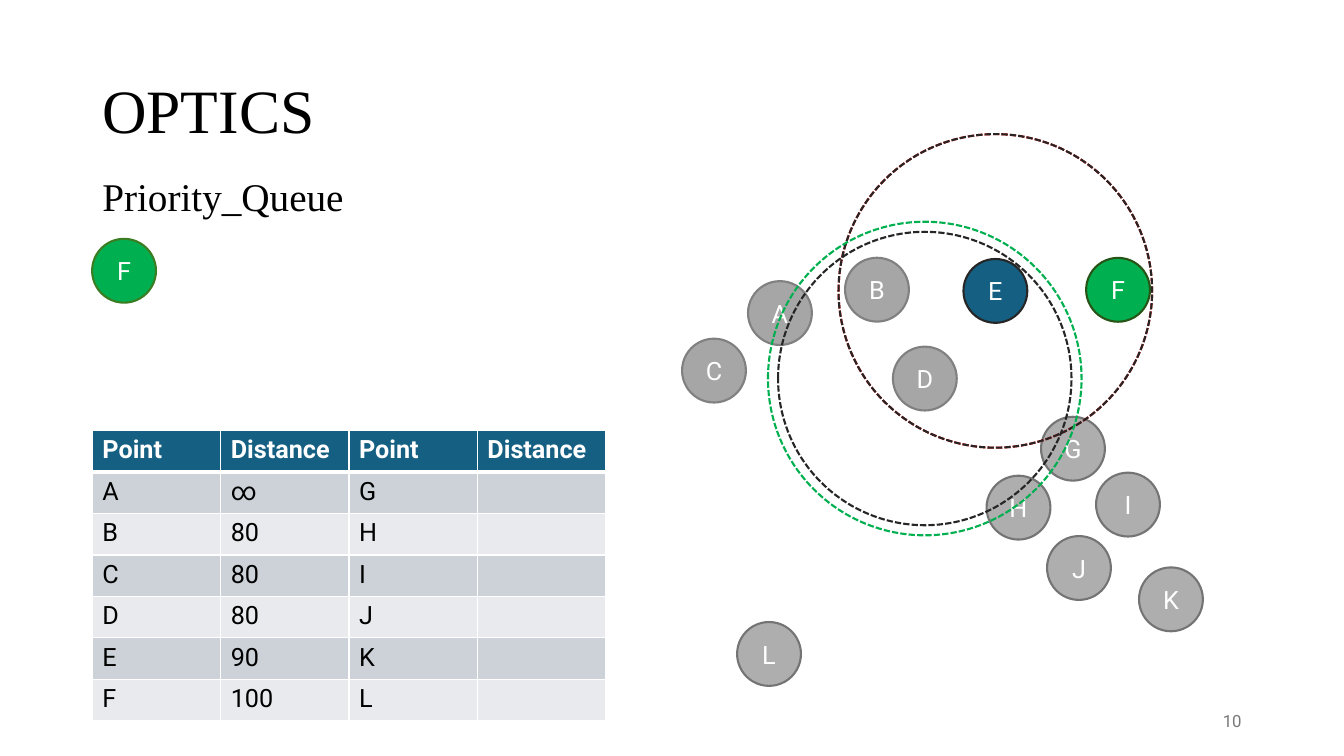
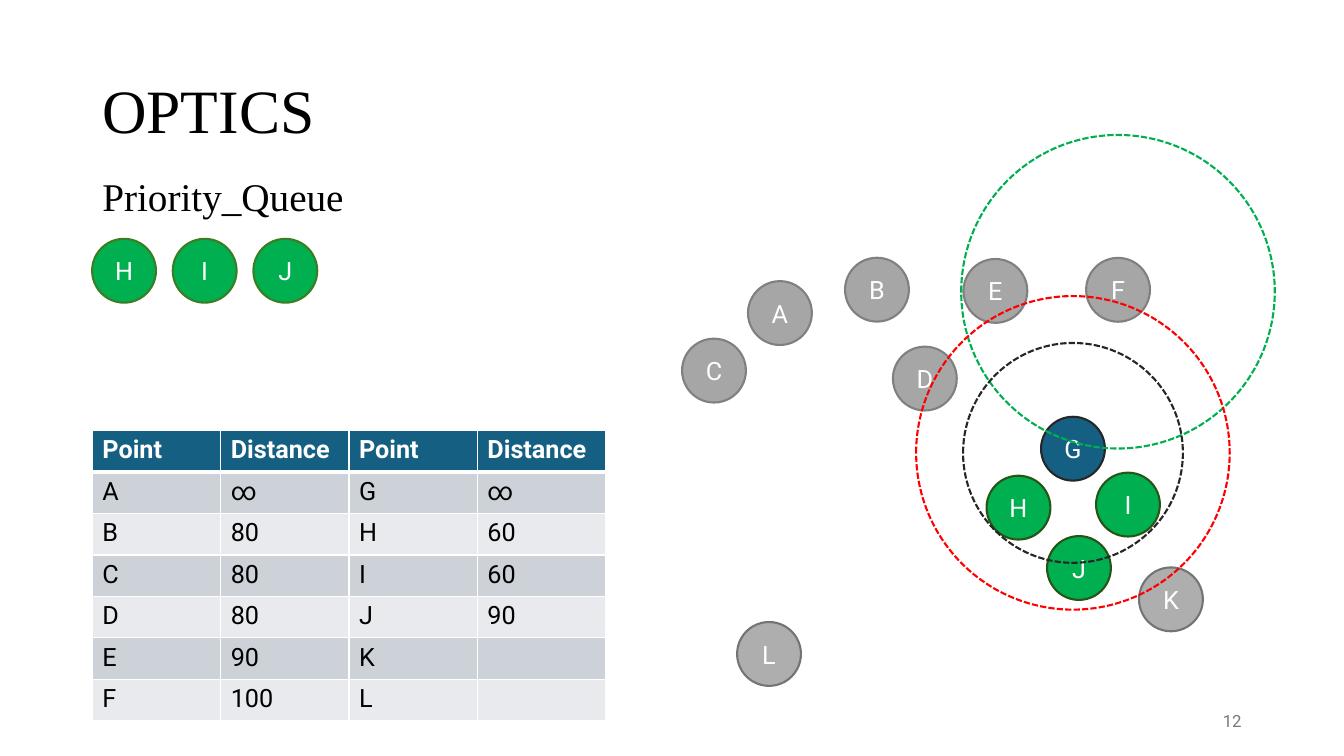
from dataclasses import dataclass

from lxml import etree
from pptx import Presentation
from pptx.dml.color import RGBColor
from pptx.enum.dml import MSO_LINE
from pptx.enum.shapes import MSO_SHAPE
from pptx.enum.text import MSO_ANCHOR, PP_ALIGN
from pptx.oxml.ns import qn
from pptx.util import Pt

OVAL = MSO_SHAPE.OVAL
DASHED = MSO_LINE.SQUARE_DOT
TOP, MIDDLE = MSO_ANCHOR.TOP, MSO_ANCHOR.MIDDLE
LEFT, CENTER, RIGHT = PP_ALIGN.LEFT, PP_ALIGN.CENTER, PP_ALIGN.RIGHT


@dataclass(frozen=True)
class Theme:
    serif: str = "Times New Roman"
    sans: str = "Roboto"
    title_size: float = 44
    heading_size: float = 28
    body_size: float = 18
    number_size: float = 12
    line: float = 1.5
    black: str = "000000"
    white: str = "FFFFFF"
    muted: str = "797979"
    blue: str = "156082"
    green: str = "00B050"
    red: str = "FF0000"
    dark: str = "262626"
    bands: tuple = ("CCD2D8", "E8EAED")


THEME = Theme()

# Fill and outline of a point in each state
STATES = {
    "done": ("A6A6A6", "808080"),
    "current": (THEME.blue, THEME.dark),
    "queued": (THEME.green, "275417"),
    "unvisited": ("AEAEAE", "747474"),
    "in queue": (THEME.green, "3B7D23"),
}

# Content: centres of the points, and what each slide says about them
POINTS = {
    "A": (557.1, 223.6), "B": (626.4, 206.9), "C": (510, 264.7),
    "D": (660.6, 270.4), "E": (711, 207.8), "F": (798.6, 207),
    "G": (766.4, 320.5), "H": (727.5, 362.6), "I": (805.7, 360.4),
    "J": (770.7, 405.7), "K": (836.4, 428.1), "L": (549.3, 467.1),
}
HEADER = ("Point", "Distance", "Point", "Distance")
EPSILON = 112  # search radius

# Rings: (point at the centre, shift down, radius, colour)
STEPS = [
    {
        "number": "10",
        "states": {"done": "ABCD", "current": "E", "queued": "F",
                   "unvisited": "GHIJKL"},
        "distances": dict(zip("ABCDEF", ("∞", "80", "80", "80", "90", "100"))),
        "rings": [("E", 0, EPSILON, THEME.red), ("E", 0, EPSILON, THEME.dark),
                  ("D", 0, EPSILON, THEME.green), ("D", 0, 104.8, THEME.dark)],
    },
    {
        "number": "12",
        "states": {"done": "ABCDEF", "current": "G", "queued": "HIJ",
                   "unvisited": "KL"},
        "distances": dict(zip("ABCDEFGHIJ", ("∞", "80", "80", "80", "90", "100",
                                             "∞", "60", "60", "90"))),
        "rings": [("F", 1.4, EPSILON, THEME.green), ("G", 3, EPSILON, THEME.red),
                  ("G", 3, 78.5, THEME.dark)],
    },
]

# Layout
POINT_RADIUS = 22.8
QUEUE_X, QUEUE_Y, QUEUE_STEP = 88.6, 193.4, 57.6
TABLE_X, TABLE_Y, COLUMN_W, ROW_H = 66, 307.6, 91.7, 29.6


def rgb(code):
    return RGBColor.from_string(code)


def write(frame, text, size, color, font=THEME.sans, align=LEFT, bold=False):
    paragraph = frame.paragraphs[0]
    paragraph.alignment = align
    run = paragraph.add_run()
    run.text = text
    run.font.name, run.font.size, run.font.bold = font, Pt(size), bold
    run.font.color.rgb = rgb(color)
    return paragraph


def add_text(slide, box, text, size, color, font, align=LEFT, anchor=MIDDLE):
    frame = slide.shapes.add_textbox(*map(Pt, box)).text_frame
    frame.word_wrap = True
    frame.vertical_anchor = anchor
    return write(frame, text, size, color, font, align)


def add_circle(slide, x, y, radius, line):
    circle = slide.shapes.add_shape(
        OVAL, Pt(x - radius), Pt(y - radius), Pt(2 * radius), Pt(2 * radius))
    circle.shadow.inherit = False
    circle.line.color.rgb = rgb(line)
    circle.line.width = Pt(THEME.line)
    return circle


def add_point(slide, x, y, letter, state):
    fill, line = STATES[state]
    point = add_circle(slide, x, y, POINT_RADIUS, line)
    point.fill.solid()
    point.fill.fore_color.rgb = rgb(fill)
    point.text_frame.vertical_anchor = MIDDLE
    write(point.text_frame, letter, THEME.body_size, THEME.white, align=CENTER)


def add_ring(slide, letter, shift, radius, color):
    x, y = POINTS[letter]
    ring = add_circle(slide, x, y + shift, radius, color)
    ring.fill.background()
    ring.line.dash_style = DASHED


def set_borders(cell, widths):
    """Draw white borders; widths go left, right, top, bottom."""
    properties = cell._tc.get_or_add_tcPr()
    for place, (side, width) in enumerate(zip("LRTB", widths)):
        border = etree.Element(qn(f"a:ln{side}"), w=str(Pt(width)))
        fill = etree.SubElement(border, qn("a:solidFill"))
        etree.SubElement(fill, qn("a:srgbClr"), val=THEME.white)
        properties.insert(place, border)


def add_distance_table(slide, distances):
    letters = list(POINTS)
    half = len(letters) // 2
    rows = [HEADER]
    for pair in zip(letters[:half], letters[half:]):
        rows.append([text for p in pair for text in (p, distances.get(p, ""))])

    table = slide.shapes.add_table(
        len(rows), len(HEADER), Pt(TABLE_X), Pt(TABLE_Y),
        Pt(COLUMN_W * len(HEADER)), Pt(ROW_H * len(rows))).table
    table.first_row = table.horz_banding = False
    for column in table.columns:
        column.width = Pt(COLUMN_W)
    for r, texts in enumerate(rows):
        table.rows[r].height = Pt(ROW_H)
        is_header = r == 0
        fill = THEME.blue if is_header else THEME.bands[(r - 1) % 2]
        color = THEME.white if is_header else THEME.black
        borders = (1, 1, 3 if r == 1 else 1, 3 if is_header else 1)
        for c, text in enumerate(texts):
            cell = table.cell(r, c)
            cell.fill.solid()
            cell.fill.fore_color.rgb = rgb(fill)
            set_borders(cell, borders)
            if text:
                write(cell.text_frame, text, THEME.body_size, color,
                      bold=is_header)


def add_frame(slide, number):
    """Title, queue heading and slide number, the same on every slide."""
    title = add_text(slide, (66, 28.8, 828, 104.4), "OPTICS",
                     THEME.title_size, THEME.black, THEME.serif)
    title.line_spacing = 0.9
    add_text(slide, (66, 119.5, 220, 41), "Priority_Queue",
             THEME.heading_size, THEME.black, THEME.serif, anchor=TOP)
    add_text(slide, (678, 500.4, 216, 28.8), number,
             THEME.number_size, THEME.muted, THEME.sans, RIGHT)


def build_step(slide, step):
    add_frame(slide, step["number"])
    # Scatter of points
    for state, letters in step["states"].items():
        for letter in letters:
            add_point(slide, *POINTS[letter], letter, state)
    # Queue
    for i, letter in enumerate(step["states"]["queued"]):
        add_point(slide, QUEUE_X + i * QUEUE_STEP, QUEUE_Y, letter, "in queue")
    add_distance_table(slide, step["distances"])
    # Neighbourhoods
    for ring in step["rings"]:
        add_ring(slide, *ring)


def main():
    deck = Presentation()
    deck.slide_width, deck.slide_height = Pt(960), Pt(540)
    blank = deck.slide_layouts[6]
    for step in STEPS:
        build_step(deck.slides.add_slide(blank), step)
    deck.save("out.pptx")


if __name__ == "__main__":
    main()
